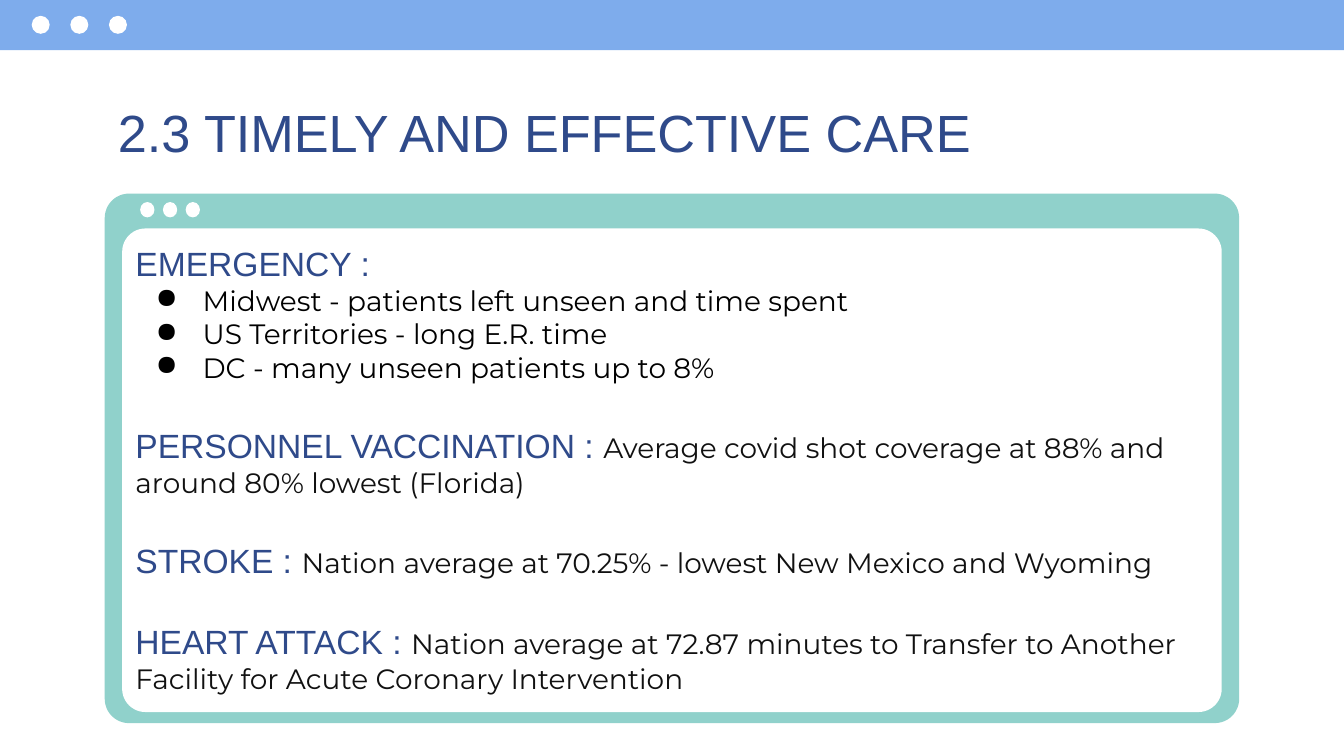
from pptx import Presentation
from pptx.util import Cm, Pt
from pptx.dml.color import RGBColor
from pptx.enum.shapes import MSO_SHAPE
from pptx.enum.text import MSO_ANCHOR
from lxml.etree import SubElement
from pptx.oxml.ns import qn

NAVY, WHITE, TEAL, SKY = "2F4A8A", "FFFFFF", "90D1CB", "7EACEC"
HEAD = {"size": Pt(18), "name": "Arial", "color": NAVY}
BODY = {"size": Pt(15), "name": "Montserrat", "color": "111111"}
ITEM = {**BODY, "color": "000000"}
TITLE = {**HEAD, "size": Pt(28)}

topics = [
    ("EMERGENCY :", "", [
        "Midwest - patients left unseen and time spent",
        "US Territories - long E.R. time",
        "DC - many unseen patients up to 8%",
    ]),
    ("PERSONNEL VACCINATION : ",
     "Average covid shot coverage at 88% and around 80% lowest (Florida)", []),
    ("STROKE : ",
     "Nation average at 70.25% - lowest New Mexico and Wyoming", []),
    ("HEART ATTACK : ",
     "Nation average at 72.87 minutes to Transfer to Another Facility "
     "for Acute Coronary Intervention", []),
]
panels = [
    ((1.98, 3.66, 21.44, 10.01), TEAL, 0.046),
    ((2.31, 4.32, 20.78, 9.14), WHITE, 0.048),
]
dots = [
    (0.6, 0.73, 0.3, 0.34, 0.34),
    (2.65, 0.43, 3.82, 0.27, 0.29),
]


def color(hue):
    return RGBColor.from_string(hue)


def shape(kind, box, hue):
    item = page.shapes.add_shape(kind, *map(Cm, box))
    item.shadow.inherit = False
    item.fill.solid()
    item.fill.fore_color.rgb = color(hue)
    item.line.fill.background()
    return item


def frame(box, top=0.25):
    text = page.shapes.add_textbox(*map(Cm, box)).text_frame
    form = {"word_wrap": True, "vertical_anchor": MSO_ANCHOR.TOP,
            "margin_left": Cm(0.25), "margin_right": Cm(0.25),
            "margin_top": Cm(top), "margin_bottom": Cm(0.25)}
    for key, value in form.items():
        setattr(text, key, value)
    return text


def write(para, words, form):
    run = para.add_run()
    run.text = words
    for key, value in form.items():
        if key == "color":
            run.font.color.rgb = color(value)
        else:
            setattr(run.font, key, value)


def bullet(para):
    props = para._p.get_or_add_pPr()
    props.set("marL", str(Cm(1.27)))
    props.set("indent", str(-Cm(0.89)))
    hue = SubElement(props, qn("a:buClr"))
    SubElement(hue, qn("a:srgbClr"), val=ITEM["color"])
    SubElement(props, qn("a:buChar"), char="●")


deck = Presentation()
deck.slide_width, deck.slide_height = Cm(25.4), Cm(14.29)
page = deck.slides.add_slide(deck.slide_layouts[6])

shape(MSO_SHAPE.RECTANGLE, (0, 0, 25.4, 0.95), SKY)
for box, hue, bend in panels:
    shape(MSO_SHAPE.ROUNDED_RECTANGLE, box, hue).adjustments[0] = bend
for left, step, top, wide, high in dots:
    for n in range(3):
        shape(MSO_SHAPE.OVAL, (left + n * step, top, wide, high), WHITE)

title = frame((1.98, 1.52, 21.44, 1.3), 0.38)
write(title.paragraphs[0], "2.3 TIMELY AND EFFECTIVE CARE", TITLE)

body = frame((2.31, 4.34, 20.78, 10.44))
for n, (head, words, items) in enumerate(topics):
    para = body.add_paragraph() if n else body.paragraphs[0]
    para.space_before = Pt(22 if n else 0)
    write(para, head, HEAD)
    if words:
        write(para, words, BODY)
    for item in items:
        para = body.add_paragraph()
        bullet(para)
        write(para, item, ITEM)

deck.save("out.pptx")
